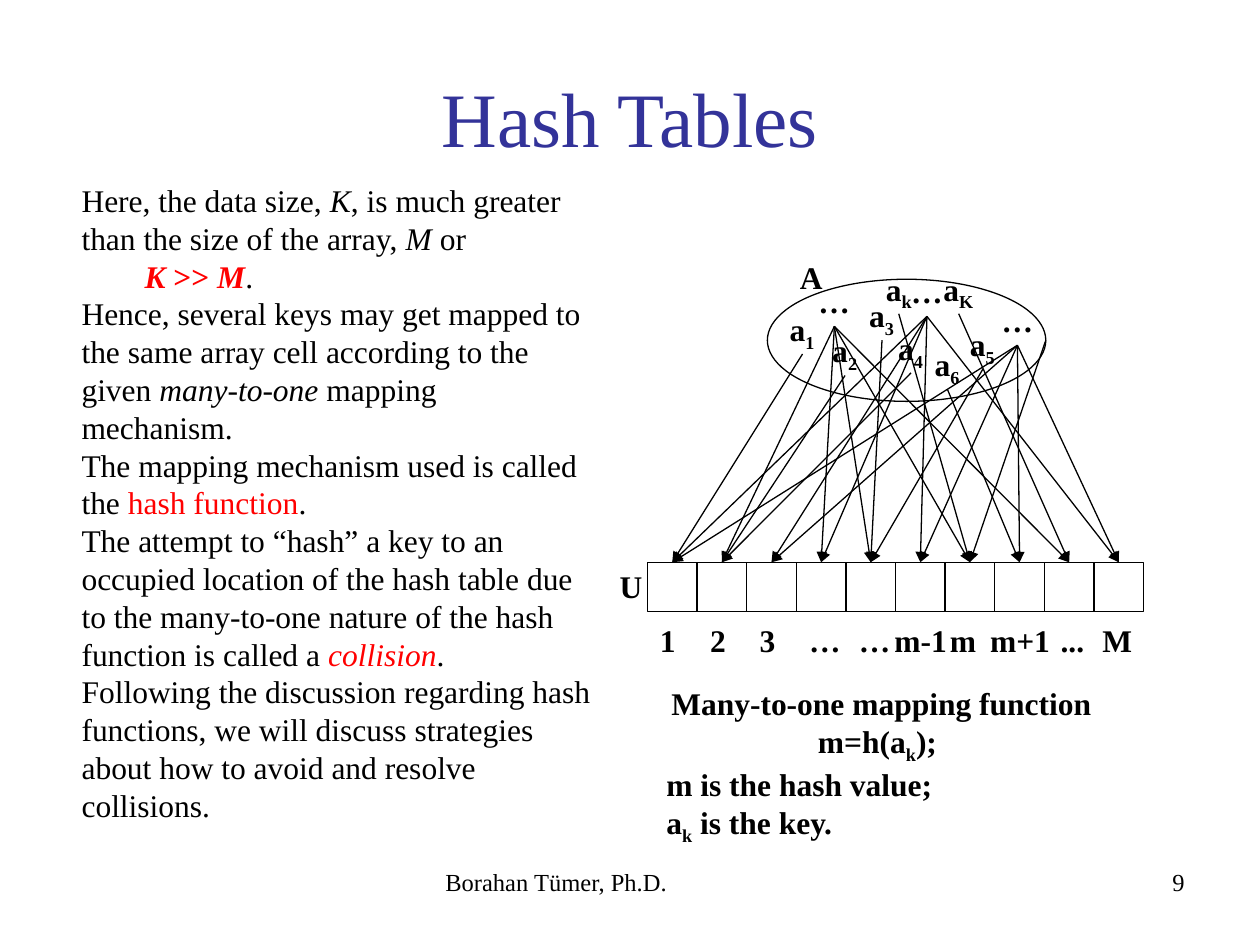
import pptx
import pptx.dml.color
import pptx.enum.shapes
import pptx.enum.text
import pptx.oxml
import pptx.oxml.ns
import pptx.util
from lxml import etree

Pt = pptx.util.Pt
ALIGN = pptx.enum.text.PP_ALIGN
SHAPE = pptx.enum.shapes.MSO_SHAPE
qn = pptx.oxml.ns.qn

BLACK = pptx.dml.color.RGBColor(0x00, 0x00, 0x00)
RED = pptx.dml.color.RGBColor(0xFF, 0x00, 0x00)
INDIGO = pptx.dml.color.RGBColor(0x33, 0x33, 0x99)
FONT = "Times New Roman"

CELL = 28.35
ARRAY_LEFT, ARRAY_TOP = 370, 321.3
LABEL_HEIGHT = 28.8

KEYS = [
    ("a", "1", 444.2, 173.5, 28.8, [0]),
    ("a", "2", 468.5, 185.8, 28.8, [1]),
    ("a", "3", 489.6, 165.6, 28.8, [4]),
    ("a", "4", 506.2, 184.3, 28.8, [1]),
    ("a", "5", 547.2, 182.2, 28.8, [4]),
    ("a", "6", 527, 193.7, 28.8, [7]),
    ("a", "k", 499.2, 150.5, 28.8, [6]),
    ("a", "K", 532, 150.5, 31.7, [8]),
    ("…", "", 460.6, 157.7, 32.4, [1, 3, 4, 6, 8]),
    ("…", "", 513.5, 152, 32.4, [0, 2, 3, 5, 9]),
    ("…", "", 565.2, 168.5, 32.4, [0, 2, 5, 7, 9]),
]

INDEXES = [
    ("1", 370, 23), ("2", 398.7, 23), ("3", 427, 23), ("…", 455.3, 32.4),
    ("…", 483.7, 32.4), ("m-1", 504, 43.9), ("m", 535.7, 23.8),
    ("m+1", 558.7, 48.2), ("...", 599, 28.1), ("M", 622.8, 31),
]

EXPLANATION = [
    [("Here, the data size, ", ""), ("K", "i"),
     (", is much greater than the size of the array, ", ""), ("M", "i"), (" or", "")],
    [("\t", ""), ("K", "rbi"), (" >> ", "rb"), ("M", "rbi"), (".", "")],
    [("Hence, several keys may get mapped to the same array cell according to the given ", ""),
     ("many-to-one", "i"), (" mapping mechanism.", "")],
    [("The mapping mechanism used is called the ", ""), ("hash function", "r"), (".", "")],
    [("The attempt to “hash” a key to an occupied location of the hash table due to the "
      "many-to-one nature of the hash function is called a ", ""),
     ("collision", "ri"), (".", "")],
    [("Following the discussion regarding hash functions, we will discuss strategies "
      "about how to avoid and resolve collisions.", "")],
]

CAPTION = [
    [("Many-to-one mapping function", "b")],
    [("m=h(a", "b"), ("k", "bs"), ("); ", "b")],
    [("m is the hash value;", "b")],
    [("a", "b"), ("k", "bs"), (" is the key.", "b")],
]


def place(shape, left, top, width, height):
    shape.left, shape.top = Pt(left), Pt(top)
    shape.width, shape.height = Pt(width), Pt(height)


def add_run(paragraph, text, style="", size=18, color=BLACK):
    run = paragraph.add_run()
    run.text = text
    run.font.name = FONT
    run.font.size = Pt(size)
    run.font.bold = "b" in style
    run.font.italic = "i" in style
    run.font.color.rgb = RED if "r" in style else color
    if "s" in style:
        run._r.get_or_add_rPr().set("baseline", "-25000")


def fill_paragraphs(frame, paragraphs, size=18):
    for number, runs in enumerate(paragraphs):
        paragraph = frame.add_paragraph() if number else frame.paragraphs[0]
        for text, style in runs:
            add_run(paragraph, text, style, size)


def add_text(slide, box, paragraphs, size=18):
    frame = slide.shapes.add_textbox(*map(Pt, box)).text_frame
    frame.word_wrap = True
    fill_paragraphs(frame, paragraphs, size)
    return frame


def add_label(slide, left, top, width, *runs):
    frame = add_text(slide, (left, top, width, LABEL_HEIGHT), [runs])
    frame.word_wrap = False
    frame.margin_right = Pt(0)


def add_outline(shapes, kind, left, top, width, height):
    outline = shapes.add_shape(kind, Pt(left), Pt(top), Pt(width), Pt(height))
    outline.shadow.inherit = False
    outline.fill.background()
    outline.line.color.rgb = BLACK
    outline.line.width = Pt(0.75)
    return outline


def add_mapping(slide, x, y, cell):
    mapping = slide.shapes.add_connector(
        pptx.enum.shapes.MSO_CONNECTOR.STRAIGHT, Pt(x), Pt(y), cell.left, cell.top)
    mapping.end_connect(cell, 0)
    mapping.line.color.rgb = BLACK
    mapping.line.width = Pt(0.75)
    etree.SubElement(mapping.line._get_or_add_ln(), qn("a:tailEnd"), type="triangle")
    etree.SubElement(mapping._element.spPr, qn("a:effectLst"))


def add_title(slide):
    title = slide.shapes.title
    place(title, 36, 21.6, 648, 90)
    heading = title.text_frame.paragraphs[0]
    heading.alignment = ALIGN.CENTER
    add_run(heading, "Hash Tables", size=44, color=INDIGO)


def add_explanation(slide):
    body = slide.placeholders[1]
    place(body, 39.4, 99.8, 307.4, 374.4)
    frame = body.text_frame
    frame.auto_size = pptx.enum.text.MSO_AUTO_SIZE.NONE
    fill_paragraphs(frame, EXPLANATION)
    for paragraph in frame.paragraphs:
        properties = paragraph._p.get_or_add_pPr()
        properties.set("marL", "0")
        properties.set("indent", "0")
        etree.SubElement(properties, qn("a:buNone"))
        tabs = etree.SubElement(properties, qn("a:tabLst"))
        etree.SubElement(tabs, qn("a:tab"), pos=str(Pt(72)), algn="l")
        paragraph.space_before = Pt(0)


def add_diagram(slide):
    array = slide.shapes.add_group_shape()
    cells = [add_outline(array.shapes, SHAPE.RECTANGLE,
                         ARRAY_LEFT + CELL * column, ARRAY_TOP, CELL, CELL)
             for column in range(len(INDEXES))]
    add_outline(slide.shapes, SHAPE.OVAL, 438.5, 159.6, 159.1, 69.8)
    add_label(slide, 450, 144, 27.4, ("A", "b"))
    add_label(slide, 347, 320.4, 27.4, ("U", "b"))
    for text, left, width in INDEXES:
        add_label(slide, left, 351.4, width, (text, "b"))
    for text, subscript, left, top, width, targets in KEYS:
        runs = [(text, "b")] + ([(subscript, "bs")] if subscript else [])
        add_label(slide, left, top, width, *runs)
        for target in targets:
            add_mapping(slide, left + width / 2, top + LABEL_HEIGHT, cells[target])
    add_mapping(slide, 597.6, 194.4, cells[6])


def add_caption(slide):
    caption = add_text(slide, (373.7, 387.4, 260, 99.4), CAPTION)
    for paragraph in caption.paragraphs[:2]:
        paragraph.alignment = ALIGN.CENTER


def add_footer(slide):
    add_text(slide, (247.4, 491.8, 228.2, 37.4), [[("Borahan Tümer, Ph.D.", "")]], 14)
    page = add_text(slide, (516.2, 491.8, 167.8, 37.4), [[("9", "")]], 14)
    page.paragraphs[0].alignment = ALIGN.RIGHT


def main():
    presentation = pptx.Presentation()
    presentation.slide_width, presentation.slide_height = Pt(720), Pt(540)
    slide = presentation.slides.add_slide(presentation.slide_layouts[1])
    add_title(slide)
    add_explanation(slide)
    add_diagram(slide)
    add_caption(slide)
    add_footer(slide)
    presentation.save("out.pptx")


if __name__ == "__main__":
    main()
